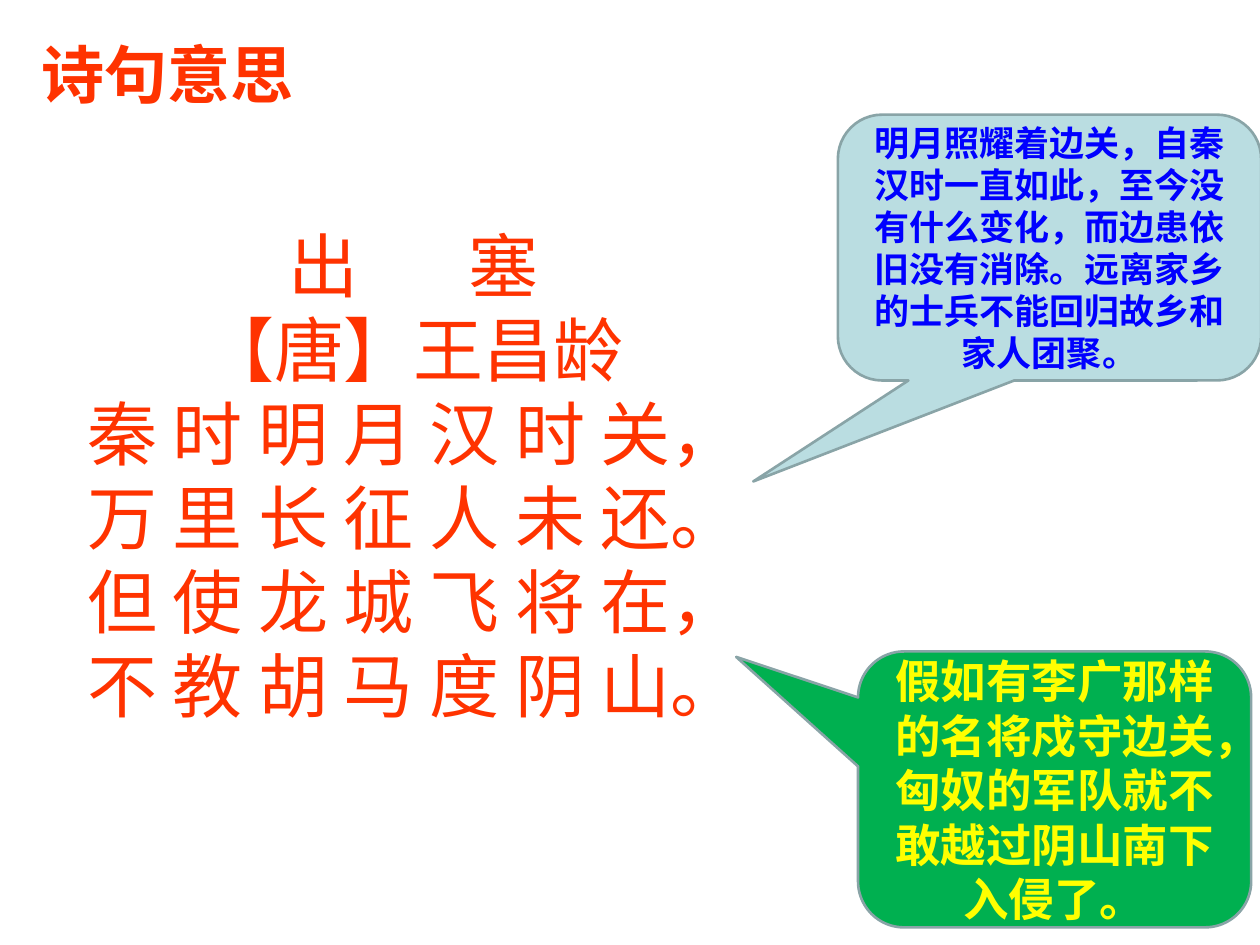
from pptx import Presentation
from pptx.dml.color import RGBColor
from pptx.enum.shapes import MSO_SHAPE
from pptx.enum.text import MSO_ANCHOR, MSO_AUTO_SIZE, PP_ALIGN
from pptx.oxml.ns import qn
from pptx.util import Inches, Pt

CALLOUT = MSO_SHAPE.ROUNDED_RECTANGULAR_CALLOUT
TOP, MIDDLE = MSO_ANCHOR.TOP, MSO_ANCHOR.MIDDLE
LEFT, CENTER = PP_ALIGN.LEFT, PP_ALIGN.CENTER
NO_AUTOFIT = MSO_AUTO_SIZE.NONE

CJK_FONT = "Noto Sans CJK SC"
LATIN_FONT = "Karla"
RED, BLUE, YELLOW = "FF3300", "0000FF", "FFFF00"
PALE_BLUE, GREEN, OUTLINE = "BADDE1", "00B050", "89A4A7"

POEM_BYLINE = "【唐】王昌龄"
POEM_VERSES = [
    "秦 时 明 月 汉 时 关，",
    "万 里 长 征 人 未 还。",
    "但 使 龙 城 飞 将 在，",
    "不 教 胡 马 度 阴 山。",
]


def color(hex_string):
    return RGBColor.from_string(hex_string)


def prepare_frame(shape, anchor):
    frame = shape.text_frame
    frame.word_wrap = True
    frame.auto_size = NO_AUTOFIT
    frame.vertical_anchor = anchor
    frame.margin_left = frame.margin_right = Inches(0.1)
    frame.margin_top = frame.margin_bottom = Inches(0.05)
    return frame


def format_paragraph(paragraph, size, alignment):
    paragraph.alignment = alignment
    paragraph.line_spacing = Pt(size * 1.2)
    paragraph.space_before = Pt(0)


def add_run(paragraph, text, size, hex_string, bold=False, font=CJK_FONT):
    run = paragraph.add_run()
    run.text = text
    run.font.size = Pt(size)
    run.font.bold = bold
    run.font.name = font
    run.font.color.rgb = color(hex_string)
    east_asian = run.font._element.makeelement(qn("a:ea"), {"typeface": CJK_FONT})
    run.font._element.find(qn("a:latin")).addnext(east_asian)
    return run


def place_title(slide, box):
    title = slide.shapes.title
    title.left, title.top, title.width, title.height = map(Inches, box)
    paragraph = prepare_frame(title, TOP).paragraphs[0]
    format_paragraph(paragraph, 36, LEFT)
    add_run(paragraph, "诗句意思", 36, RED, bold=True)


def add_poem(slide, box):
    frame = prepare_frame(slide.shapes.add_textbox(*map(Inches, box)), TOP)

    # Poem name, its two characters set apart by a widely spaced gap
    heading = frame.paragraphs[0]
    format_paragraph(heading, 40, CENTER)
    add_run(heading, "出", 40, RED)
    gap = add_run(heading, " ", 40, RED)
    gap.font._element.set("spc", "5400")
    add_run(heading, "塞", 40, RED)

    # Poet and verses
    for line in [POEM_BYLINE, *POEM_VERSES]:
        paragraph = frame.add_paragraph()
        format_paragraph(paragraph, 40, CENTER)
        add_run(paragraph, line, 40, RED)


def add_callout(slide, box, pointer, fill, text, size, text_color, font):
    callout = slide.shapes.add_shape(CALLOUT, *map(Inches, box))
    callout.shadow.inherit = False
    callout.adjustments[0], callout.adjustments[1] = pointer
    callout.fill.solid()
    callout.fill.fore_color.rgb = color(fill)
    callout.line.color.rgb = color(OUTLINE)
    callout.line.width = Pt(1.5)
    paragraph = prepare_frame(callout, MIDDLE).paragraphs[0]
    format_paragraph(paragraph, size, CENTER)
    add_run(paragraph, text, size, text_color, bold=True, font=font)


def main():
    presentation = Presentation()
    presentation.slide_width, presentation.slide_height = Inches(10), Inches(7.5)
    slide = presentation.slides.add_slide(presentation.slide_layouts[5])

    add_poem(slide, (-0.27, 1.72, 7.11, 4.1))
    place_title(slide, (0.23, 0.23, 2.96, 0.7))

    # Explanations of the first and second couplets
    add_callout(slide, (6.65, 0.91, 3.36, 2.11), (-0.7, 0.88), PALE_BLUE,
                "明月照耀着边关，自秦汉时一直如此，至今没有什么变化，而边患依旧没有消除。"
                "远离家乡的士兵不能回归故乡和家人团聚。", 20, BLUE, LATIN_FONT)
    add_callout(slide, (6.81, 5.17, 3.12, 2.19), (-0.81, -0.48), GREEN,
                "假如有李广那样的名将戍守边关，匈奴的军队就不敢越过阴山南下入侵了。",
                26, YELLOW, CJK_FONT)

    presentation.save("out.pptx")


if __name__ == "__main__":
    main()
